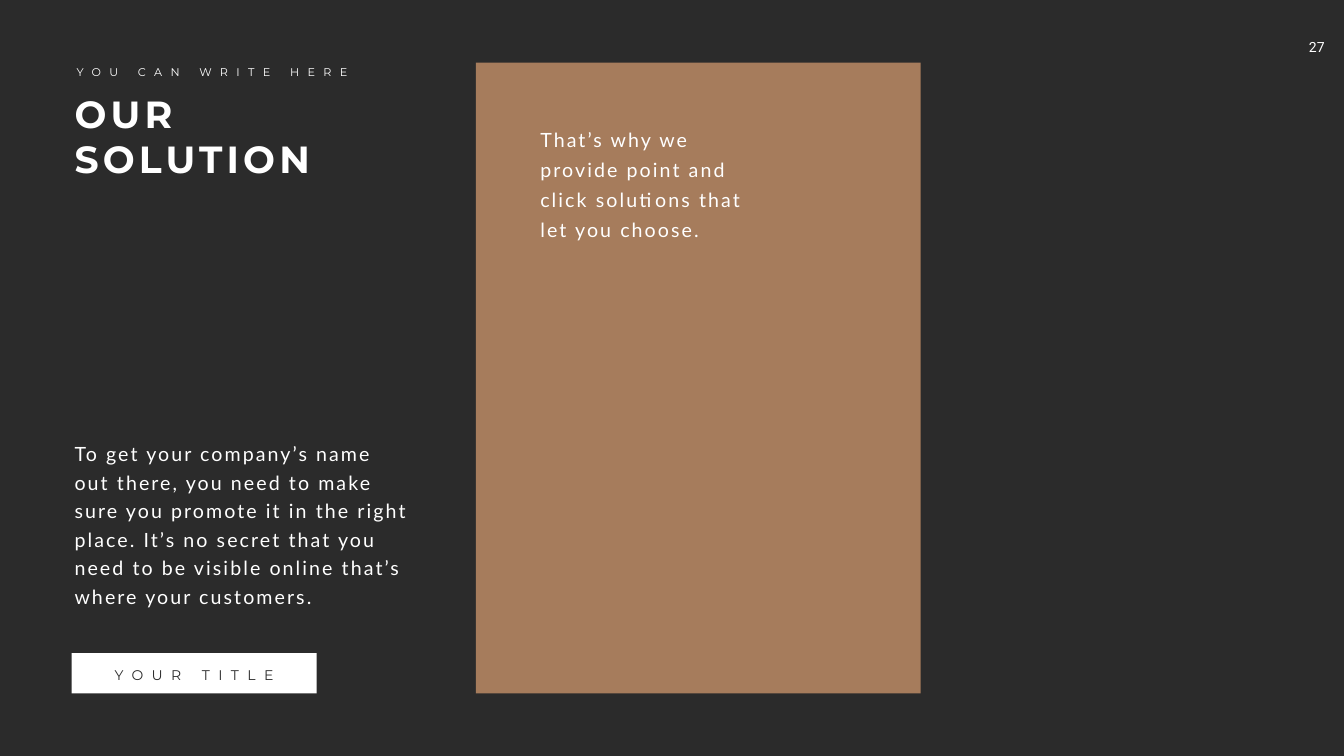
from pptx import Presentation
from pptx.dml.color import RGBColor
from pptx.enum.shapes import MSO_SHAPE
from pptx.enum.text import MSO_ANCHOR, MSO_AUTO_SIZE, PP_ALIGN
from pptx.util import Inches, Pt

RECTANGLE = MSO_SHAPE.RECTANGLE
TOP = MSO_ANCHOR.TOP
GROW = MSO_AUTO_SIZE.SHAPE_TO_FIT_TEXT
LEFT, CENTER = PP_ALIGN.LEFT, PP_ALIGN.CENTER

DARK = RGBColor(0x2B, 0x2B, 0x2B)
BROWN = RGBColor(0xA6, 0x7C, 0x5C)
WHITE = RGBColor(0xFF, 0xFF, 0xFF)
TITLE_ONLY = 5


def place(shape, left, top, width, height):
    """Move and size a shape, in inches."""
    shape.left, shape.top = Inches(left), Inches(top)
    shape.width, shape.height = Inches(width), Inches(height)


def write(box, text, font, size, color=WHITE, bold=False, tracking=0,
          leading=None, align=LEFT, wrap=True):
    """Fill a box with one paragraph in one style."""
    frame = box.text_frame
    frame.word_wrap = wrap
    frame.auto_size = GROW
    frame.vertical_anchor = TOP
    para = frame.paragraphs[0]
    para.alignment = align
    if leading:
        para.line_spacing = Pt(leading)
    para.font.name = font
    para.font.size = Pt(size)
    para.font.bold = bold
    para.font.color.rgb = color
    span = para.add_run()
    span.text = text
    if tracking:
        span.font._element.set("spc", str(tracking * 100))


def add_text(page, left, top, width, height, text, font, size, **style):
    """Add a text box and write in it."""
    box = page.shapes.add_textbox(Inches(left), Inches(top), Inches(width), Inches(height))
    write(box, text, font, size, **style)
    return box


def add_panel(page, left, top, width, height, color):
    """Add a plain filled rectangle."""
    panel = page.shapes.add_shape(
        RECTANGLE, Inches(left), Inches(top), Inches(width), Inches(height))
    panel.shadow.inherit = False
    panel.fill.solid()
    panel.fill.fore_color.rgb = color
    panel.line.fill.background()


def add_page_number(page, left, top):
    """Add the page number in the corner."""
    add_text(page, left, top, 1, 0.54, "27", "Roboto", 20, align=CENTER).text_frame.margin_top = Inches(0.1)


def add_solution_card(page, left, top, width, height):
    """Add the brown card with its statement."""
    add_panel(page, left, top, width, height, BROWN)
    add_text(page, left + 1.18, top + 1.11, 4.57, 2.46,
             "That’s why we provide point and click solutions that let you choose.",
             "Lato", 28, tracking=3, leading=43)


def add_intro_column(page, left, top, width, height):
    """Add the heading, body text and label of the left column."""
    title = page.shapes.title
    place(title, left, top + 0.5, 6.52, 1.92)
    write(title, "OUR SOLUTION", "Montserrat", 54, bold=True, tracking=6)
    add_text(page, left + 0.04, top, 5.78, 0.37, "YOU CAN WRITE HERE",
             "Montserrat", 16, tracking=12, wrap=False)
    add_text(page, left, top + 7.38, width, 3.49,
             "To get your company’s name out there, you need to make sure you "
             "promote it in the right place. It’s no secret that you need to be "
             "visible online that’s where your customers.",
             "Lato", 28, tracking=3, leading=40.8)
    label_top = top + height - 0.8
    add_panel(page, left + 0.04, label_top, 4.86, 0.8, WHITE)
    add_text(page, left + 0.69, label_top + 0.22, 3.56, 0.44, "YOUR TITLE",
             "Montserrat", 20, color=DARK, tracking=12, align=CENTER, wrap=False)


def main():
    """Build the deck and save it."""
    deck = Presentation()
    deck.slide_width, deck.slide_height = Inches(26.66), Inches(15)
    page = deck.slides.add_slide(deck.slide_layouts[TITLE_ONLY])
    page.background.fill.solid()
    page.background.fill.fore_color.rgb = DARK
    add_page_number(page, 25.62, 0.67)
    add_solution_card(page, 9.44, 1.24, 8.82, 12.52)
    add_intro_column(page, 1.38, 1.24, 6.89, 12.52)
    deck.save("out.pptx")


if __name__ == "__main__":
    main()
